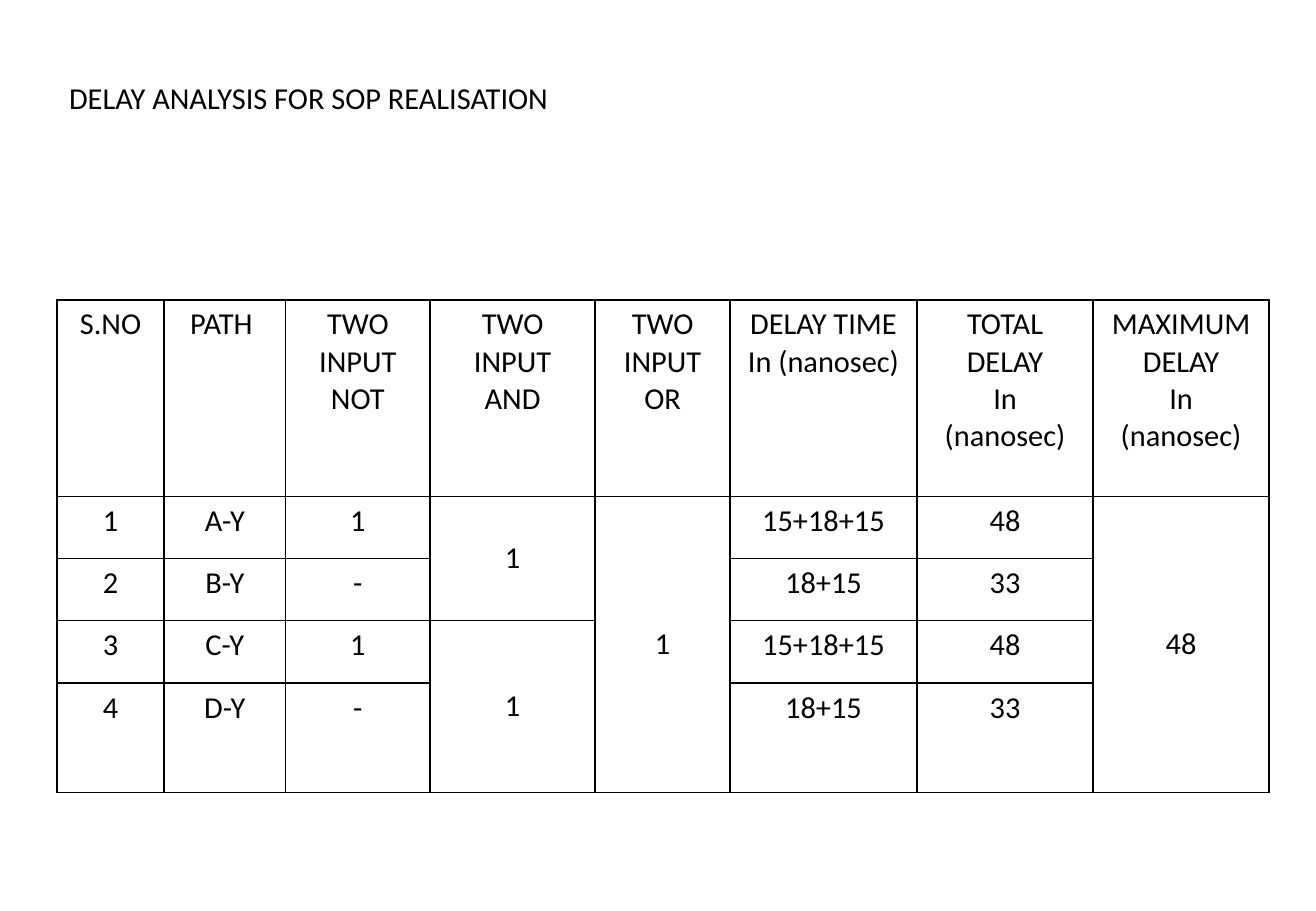
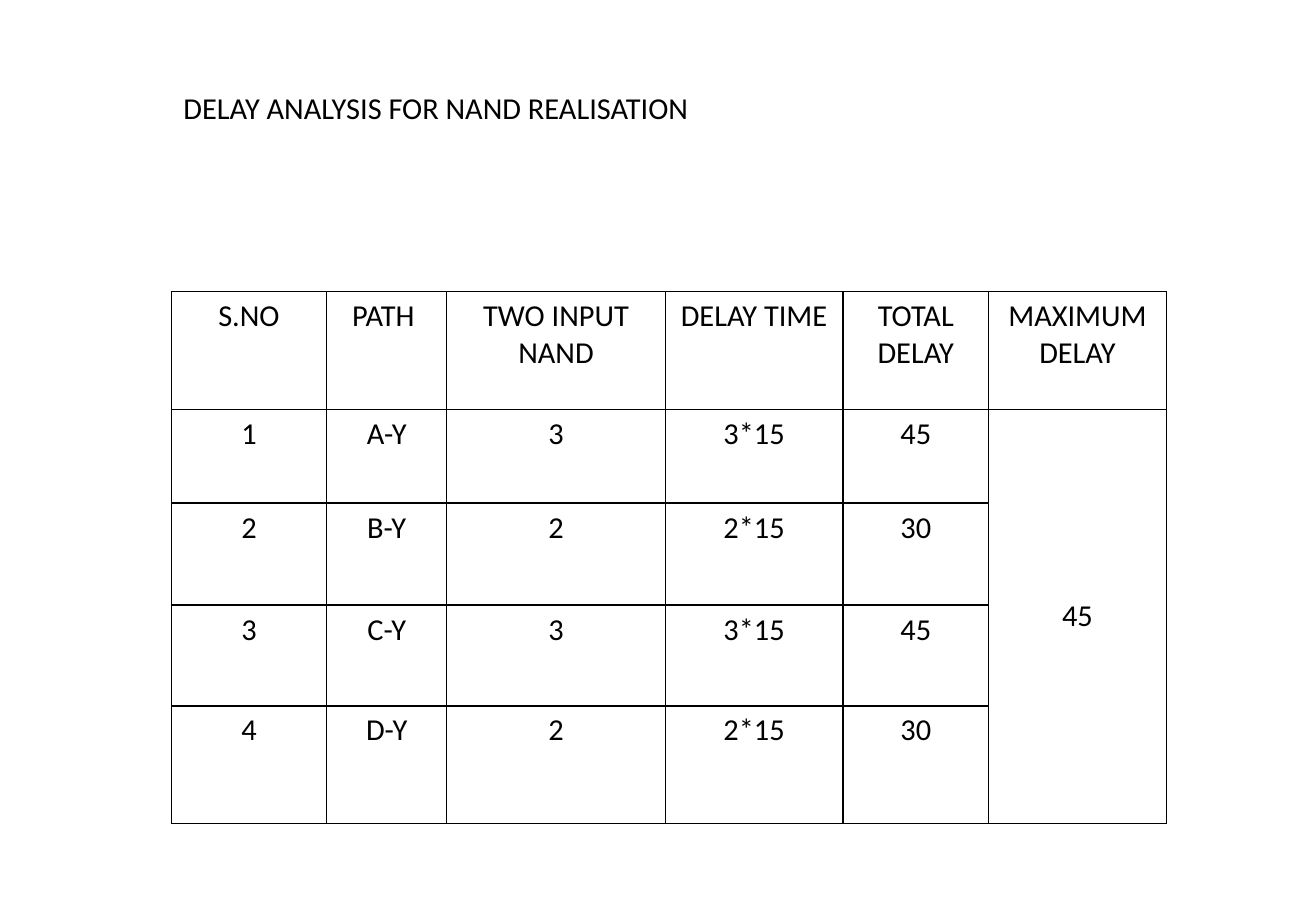
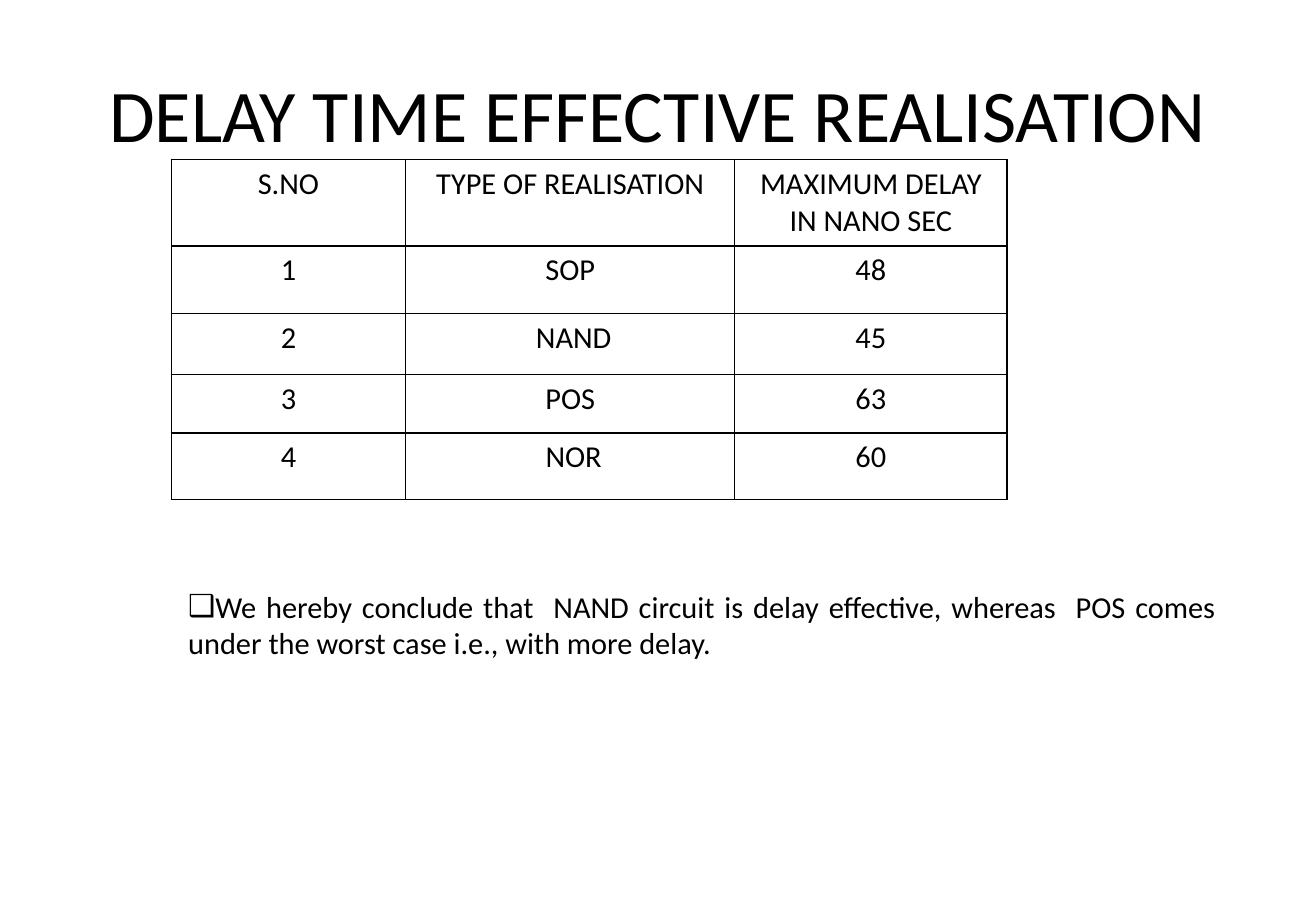
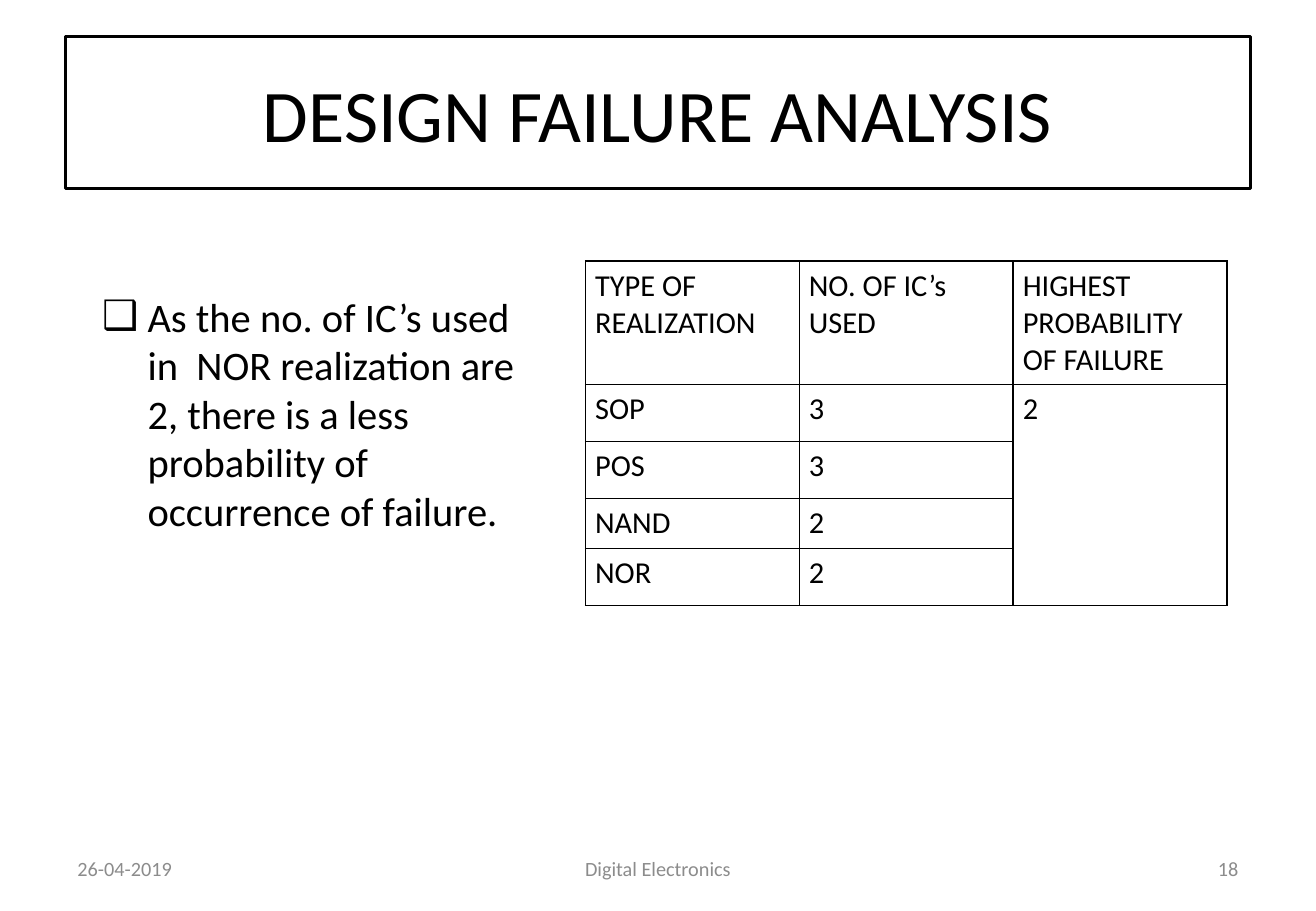
from dataclasses import dataclass

from lxml.etree import SubElement
from pptx import Presentation
from pptx.dml.color import RGBColor
from pptx.enum.text import MSO_ANCHOR as ANCHOR, MSO_AUTO_SIZE as FIT, PP_ALIGN as ALIGN
from pptx.oxml import parse_xml
from pptx.oxml.ns import nsdecls, qn
from pptx.util import Cm, Pt

COLORS = {"text": "000000", "line": "000000", "paper": "FFFFFF", "footer": "8C8C8C"}
FONT = "Calibri"
TITLE_ONLY, TITLE_AND_BODY = 5, 1


@dataclass(frozen=True)
class Box:
    left: float
    top: float
    width: float
    height: float


@dataclass(frozen=True)
class Style:
    size: float = 18
    color: str = "text"
    align: ALIGN = ALIGN.LEFT
    anchor: ANCHOR = ANCHOR.TOP


@dataclass(frozen=True)
class Grid:
    left: float
    top: float
    cols: tuple[float, ...]
    heights: tuple[float, ...]
    rows: tuple[tuple[str | None, ...], ...]
    align: ALIGN = ALIGN.CENTER
    span_anchor: ANCHOR = ANCHOR.MIDDLE
    side: float = 0.29


@dataclass(frozen=True)
class Bullet:
    box: Box
    text: str
    style: Style
    indent: float = 0


@dataclass(frozen=True)
class Page:
    title: str
    title_box: Box
    title_style: Style
    grid: Grid
    bullet: Bullet | None = None
    framed: bool = False
    footers: tuple[tuple[str, Box, Style], ...] = ()


def rgb(key: str) -> RGBColor:
    return RGBColor.from_string(COLORS[key])


def apply(obj, formats: dict) -> None:
    for name, value in formats.items():
        setattr(obj, name, value)


def place(sp, box: Box) -> None:
    apply(sp, {k: Cm(getattr(box, k)) for k in ("left", "top", "width", "height")})


def write(tf, text: str, style: Style) -> None:
    tf.text = text
    for p in tf.paragraphs:
        apply(p, {"alignment": style.align, "space_before": Pt(0)})
        for r in p.runs:
            apply(r.font, {"name": FONT, "size": Pt(style.size)})
            r.font.color.rgb = rgb(style.color)


def fill_frame(sp, box: Box, text: str, style: Style) -> None:
    place(sp, box)
    tf = sp.text_frame
    apply(tf, {"word_wrap": True, "auto_size": FIT.NONE, "vertical_anchor": style.anchor})
    write(tf, text, style)


def add_bullet(s, bullet: Bullet) -> None:
    sp = s.placeholders[1]
    fill_frame(sp, bullet.box, bullet.text, bullet.style)
    pPr = sp.text_frame.paragraphs[0]._p.get_or_add_pPr()
    pPr.set("marL", str(Cm(bullet.indent)))
    pPr.set("indent", str(-Cm(bullet.indent)))
    SubElement(pPr, qn("a:buChar")).set("char", "❑")


def add_borders(cell) -> None:
    tcPr = cell._tc.get_or_add_tcPr()
    for i, edge in enumerate(("lnL", "lnR", "lnT", "lnB")):
        tcPr.insert(i, parse_xml(
            f'<a:{edge} {nsdecls("a")} w="{Pt(1)}"><a:solidFill>'
            f'<a:srgbClr val="{COLORS["line"]}"/></a:solidFill></a:{edge}>'))


def span_of(rows: tuple[tuple[str | None, ...], ...], i: int, j: int) -> int:
    end = i + 1
    while end < len(rows) and rows[end][j] is None:
        end += 1
    return end - i


def add_grid(s, grid: Grid) -> None:
    table = s.shapes.add_table(
        len(grid.heights), len(grid.cols), Cm(grid.left), Cm(grid.top),
        Cm(sum(grid.cols)), Cm(sum(grid.heights))).table
    apply(table, {"first_row": False, "horz_banding": False})
    for col, width in zip(table.columns, grid.cols):
        col.width = Cm(width)
    for row, height in zip(table.rows, grid.heights):
        row.height = Cm(height)
    margins = {"margin_left": Cm(grid.side), "margin_right": Cm(grid.side),
               "margin_top": Cm(0.13), "margin_bottom": Cm(0.13)}
    for i, row in enumerate(grid.rows):
        for j, text in enumerate(row):
            cell = table.cell(i, j)
            apply(cell, margins)
            cell.fill.solid()
            cell.fill.fore_color.rgb = rgb("paper")
            add_borders(cell)
            if text is None:
                continue
            write(cell.text_frame, text, Style(align=grid.align))
            span = span_of(grid.rows, i, j)
            if span > 1:
                cell.merge(table.cell(i + span - 1, j))
                cell.vertical_anchor = grid.span_anchor


def add_page(prs, page: Page) -> None:
    layout = TITLE_AND_BODY if page.bullet else TITLE_ONLY
    s = prs.slides.add_slide(prs.slide_layouts[layout])
    title = s.shapes.title
    fill_frame(title, page.title_box, page.title, page.title_style)
    if page.framed:
        title.fill.solid()
        title.fill.fore_color.rgb = rgb("paper")
        title.line.color.rgb = rgb("line")
        title.line.width = Pt(2)
    add_grid(s, page.grid)
    if page.bullet:
        add_bullet(s, page.bullet)
    for text, box, style in page.footers:
        fill_frame(s.shapes.add_textbox(0, 0, 0, 0), box, text, style)


def footer(text: str, left: float, width: float, align: ALIGN) -> tuple[str, Box, Style]:
    return text, Box(left, 17.65, width, 1.02), Style(12, "footer", align, ANCHOR.MIDDLE)


HEADING_BOX = Box(1.37, 0.76, 24.77, 3.18)
HEADING = Style(44, align=ALIGN.CENTER, anchor=ANCHOR.MIDDLE)
CAPTION = Style()

PAGES = (
    Page(
        "DELAY ANALYSIS FOR SOP REALISATION", Box(1.19, 1.52, 14, 1.02), CAPTION,
        Grid(1.19, 6.27, (2.24, 2.54, 3.02, 3.45, 2.82, 3.91, 3.68, 3.68),
             (4.11, 1.3, 1.3, 1.3, 2.29), (
            ("S.NO", "PATH ", "TWO INPUT NOT", "TWO INPUT AND", "TWO INPUT OR",
             "DELAY TIME\nIn (nanosec)", "TOTAL DELAY\nIn (nanosec)",
             "MAXIMUM DELAY\nIn (nanosec)"),
            ("1", "A-Y", "1", "1", "1", "15+18+15", "48", "48"),
            ("2", "B-Y", "-", None, None, "18+15", "33", None),
            ("3", "C-Y", "1", "1", None, "15+18+15", "48", None),
            ("4", "D-Y", "-", None, None, "18+15", "33", None),
        )),
    ),
    Page(
        "DELAY ANALYSIS FOR NAND REALISATION", Box(3.58, 1.73, 14, 1.02), CAPTION,
        Grid(3.58, 6.1, (3.25, 2.51, 4.57, 3.71, 3.05, 3.71),
             (2.46, 1.96, 2.13, 2.11, 2.46), (
            ("S.NO", "PATH ", "TWO INPUT NAND", "DELAY TIME", "TOTAL DELAY", "MAXIMUM DELAY"),
            ("1", "A-Y", "3", "3*15", "45", "45"),
            ("2", "B-Y", "2", "2*15", "30", None),
            ("3", "C-Y", "3", "3*15", "45", None),
            ("4", "D-Y", "2", "2*15", "30", None),
        )),
    ),
    Page(
        "DELAY TIME EFFECTIVE REALISATION", HEADING_BOX, HEADING,
        Grid(3.58, 3.33, (4.9, 6.88, 5.69), (1.8, 1.42, 1.27, 1.22, 1.4), (
            ("S.NO", "TYPE OF REALISATION", "MAXIMUM DELAY\nIN NANO SEC"),
            ("1", "SOP", "48"),
            ("2", " NAND", "45"),
            ("3", "POS", "63"),
            ("4", " NOR", "60"),
        )),
        Bullet(Box(3.68, 12.17, 22, 1.8),
               "We hereby conclude that  NAND circuit is delay effective, whereas  POS comes "
               "under the worst case i.e., with more delay.",
               Style(align=ALIGN.JUSTIFY)),
    ),
    Page(
        "DESIGN FAILURE ANALYSIS", HEADING_BOX, HEADING,
        Grid(12.24, 5.46, (4.47,) * 3, (2.57, 1.19, 1.19, 1.04, 1.19), (
            ("TYPE OF REALIZATION", "NO. OF IC’s USED", "HIGHEST PROBABILITY OF FAILURE"),
            ("SOP", "3", "2"),
            ("POS", "3", None),
            ("NAND", "2", None),
            ("NOR", "2", None),
        ), ALIGN.LEFT, ANCHOR.TOP, 0.2),
        Bullet(Box(1.88, 5.97, 9.3, 5.38),
               "As the no. of IC’s used in  NOR realization are 2, there is a less "
               "probability of occurrence of failure.",
               Style(24), 0.95),
        True,
        (footer("26-04-2019", 1.37, 6.43, ALIGN.LEFT),
         footer("Digital Electronics", 9.4, 8.71, ALIGN.CENTER),
         footer("18", 19.71, 6.43, ALIGN.RIGHT)),
    ),
)


def main() -> None:
    prs = Presentation()
    apply(prs, {"slide_width": Cm(27.51), "slide_height": Cm(19.05)})
    for page in PAGES:
        add_page(prs, page)
    prs.save("out.pptx")


if __name__ == "__main__":
    main()
